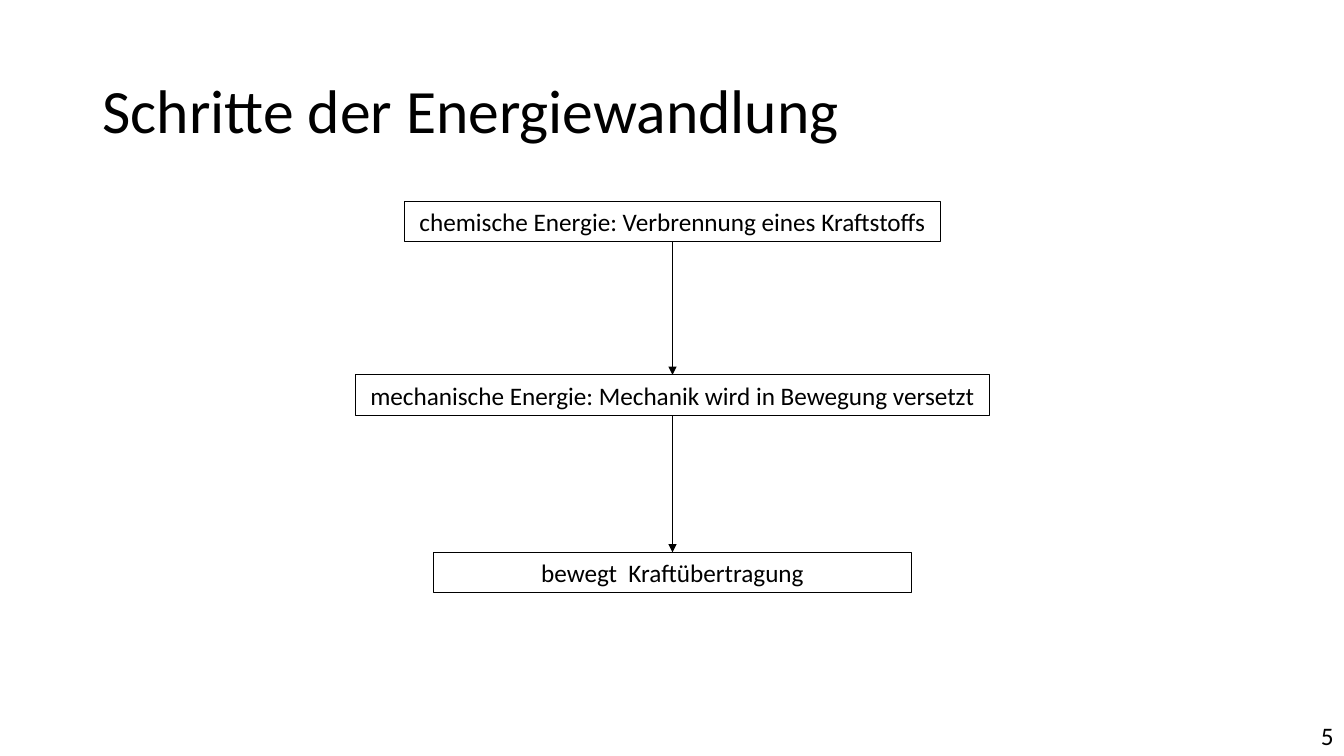
from dataclasses import dataclass
from itertools import pairwise

from lxml.etree import SubElement
from pptx import Presentation
from pptx.dml.color import RGBColor
from pptx.enum.shapes import MSO_CONNECTOR, MSO_SHAPE
from pptx.enum.text import MSO_ANCHOR, PP_ALIGN
from pptx.oxml.ns import qn
from pptx.shapes.autoshape import Shape
from pptx.slide import Slide
from pptx.util import Inches, Pt

BLACK = RGBColor(0x00, 0x00, 0x00)
FONT = "Calibri"
CENTER_X = 6.67
BOX_HEIGHT = 0.4


@dataclass
class Step:
    text: str
    top: float
    width: float


STEPS = [
    Step("chemische Energie: Verbrennung eines Kraftstoffs", 2, 5.31),
    Step("mechanische Energie: Mechanik wird in Bewegung versetzt", 3.72, 6.29),
    Step("bewegt  Kraftübertragung", 5.48, 4.74),
]


def write(sp: Shape, text: str, size: int, align: PP_ALIGN,
          anchor: MSO_ANCHOR = MSO_ANCHOR.TOP, wrap: bool = False,
          spacing: float = 1.0) -> None:
    tf = sp.text_frame
    tf.word_wrap = wrap
    tf.vertical_anchor = anchor
    p = tf.paragraphs[0]
    p.alignment = align
    p.line_spacing = spacing
    r = p.add_run()
    r.text = text
    r.font.name = FONT
    r.font.size = Pt(size)
    r.font.color.rgb = BLACK


def add_step(s: Slide, step: Step) -> None:
    sp = s.shapes.add_shape(
        MSO_SHAPE.RECTANGLE, Inches(CENTER_X - step.width / 2),
        Inches(step.top), Inches(step.width), Inches(BOX_HEIGHT))
    sp.shadow.inherit = False
    sp.fill.background()
    sp.line.color.rgb = BLACK
    sp.line.width = Pt(0.75)
    write(sp, step.text, 18, PP_ALIGN.CENTER)


def add_arrow(s: Slide, start: Step, end: Step) -> None:
    arrow = s.shapes.add_connector(
        MSO_CONNECTOR.STRAIGHT, Inches(CENTER_X),
        Inches(start.top + BOX_HEIGHT), Inches(CENTER_X), Inches(end.top))
    arrow.line.color.rgb = BLACK
    arrow.line.width = Pt(0.5)
    sp_pr = arrow.line._get_or_add_ln().getparent()
    SubElement(sp_pr.find(qn("a:ln")), qn("a:tailEnd"), type="triangle")
    SubElement(sp_pr, qn("a:effectLst"))


def main() -> None:
    prs = Presentation()
    prs.slide_width = Inches(13.33)
    prs.slide_height = Inches(7.5)
    s = prs.slides.add_slide(prs.slide_layouts[6])

    title = s.shapes.add_textbox(
        Inches(0.92), Inches(0.4), Inches(11.5), Inches(1.45))
    write(title, "Schritte der Energiewandlung", 44, PP_ALIGN.LEFT,
          MSO_ANCHOR.MIDDLE, wrap=True, spacing=0.9)

    for step in STEPS:
        add_step(s, step)
    for start, end in pairwise(STEPS):
        add_arrow(s, start, end)

    number = s.shapes.add_textbox(
        Inches(13), Inches(7.1), Inches(0.33), Inches(BOX_HEIGHT))
    write(number, "5", 18, PP_ALIGN.CENTER)

    prs.save("out.pptx")


if __name__ == "__main__":
    main()
